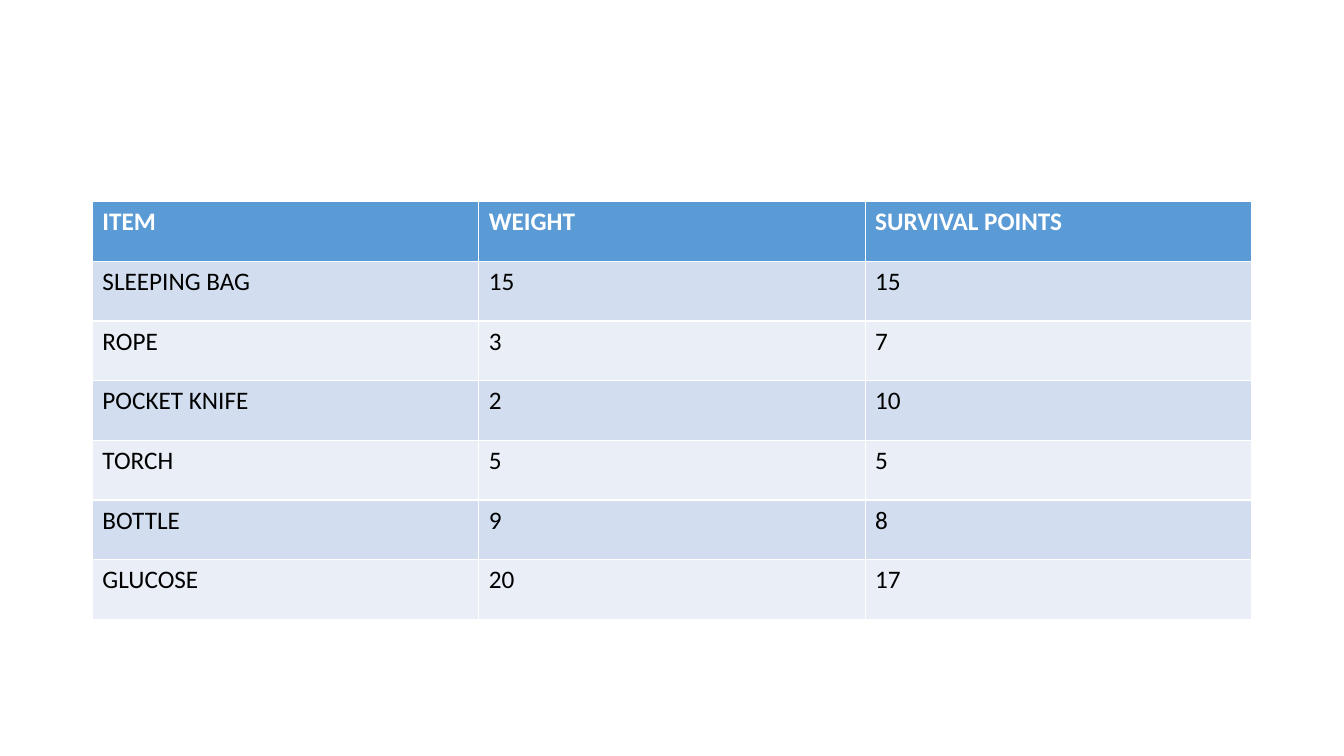
import pptx
import pptx.dml.color
import pptx.util

Pt = pptx.util.Pt
RGBColor = pptx.dml.color.RGBColor

WHITE = RGBColor(0xFF, 0xFF, 0xFF)
BLACK = RGBColor(0x00, 0x00, 0x00)
HEADER_BLUE = RGBColor(0x5B, 0x9B, 0xD5)
BAND_COLORS = (RGBColor(0xEA, 0xEF, 0xF7), RGBColor(0xD2, 0xDE, 0xEF))

SURVIVAL_ITEMS = [
    ("ITEM", "WEIGHT", "SURVIVAL POINTS"),
    ("SLEEPING BAG", 15, 15),
    ("ROPE", 3, 7),
    ("POCKET KNIFE", 2, 10),
    ("TORCH", 5, 5),
    ("BOTTLE", 9, 8),
    ("GLUCOSE", 20, 17),
]


def add_item_table(slide, left, top, width, height):
    """Fill the box with equal rows and columns; the table style rules them in white."""
    row_count, column_count = len(SURVIVAL_ITEMS), len(SURVIVAL_ITEMS[0])
    item_table = slide.shapes.add_table(
        row_count, column_count, Pt(left), Pt(top), Pt(width), Pt(height)
    ).table

    for row_index, item in enumerate(SURVIVAL_ITEMS):
        is_header = row_index == 0
        for column_index, value in enumerate(item):
            cell = item_table.cell(row_index, column_index)

            # Header or alternating band
            cell.fill.solid()
            cell.fill.fore_color.rgb = HEADER_BLUE if is_header else BAND_COLORS[row_index % 2]

            # Cell text
            cell.text = str(value)
            font = cell.text_frame.paragraphs[0].font
            font.name = "Calibri"
            font.size = Pt(18)
            font.bold = is_header
            font.color.rgb = WHITE if is_header else BLACK


def main():
    presentation = pptx.Presentation()
    presentation.slide_width = Pt(960)
    presentation.slide_height = Pt(540)
    slide = presentation.slides.add_slide(presentation.slide_layouts[6])
    add_item_table(slide, left=66, top=144, width=828, height=298.6)
    presentation.save("out.pptx")


if __name__ == "__main__":
    main()
